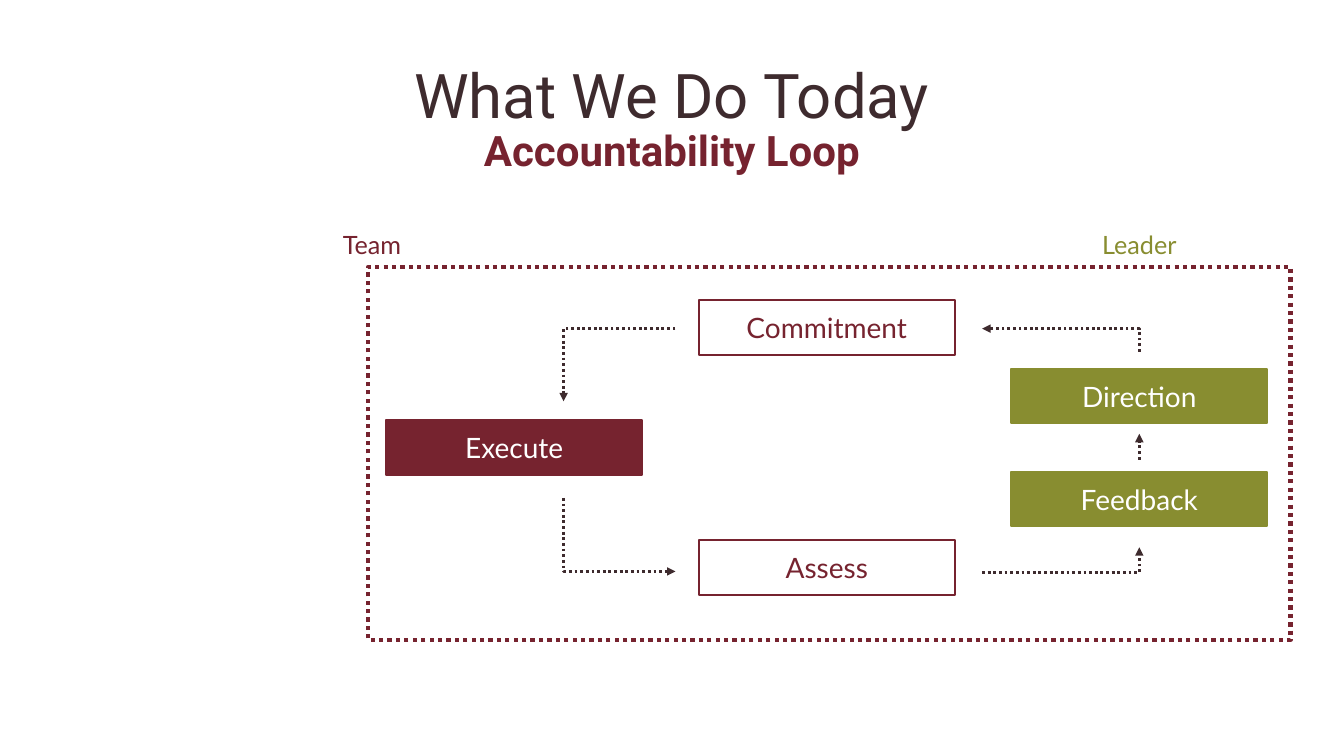
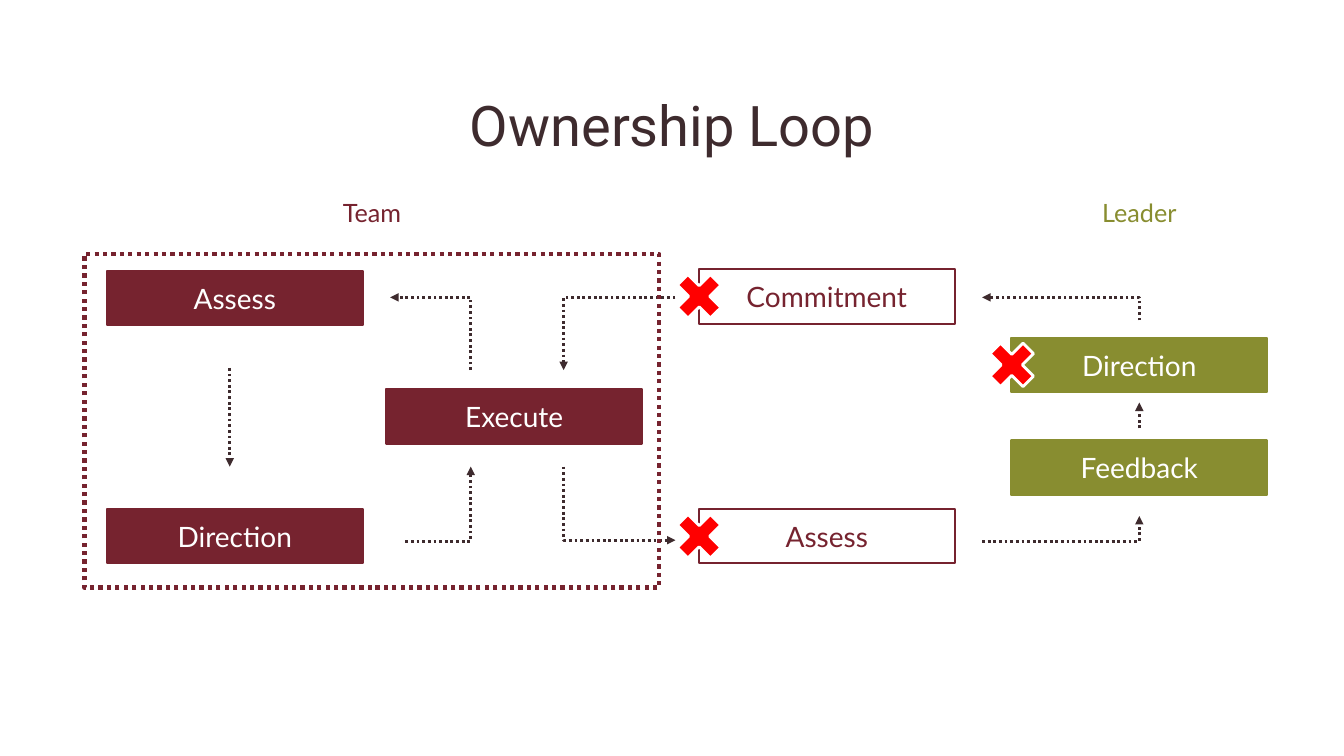
from typing import NamedTuple

from lxml.etree import SubElement
from pptx import Presentation
from pptx.dml.color import RGBColor
from pptx.enum.dml import MSO_LINE
from pptx.enum.shapes import MSO_CONNECTOR, MSO_SHAPE
from pptx.enum.text import MSO_ANCHOR, PP_ALIGN
from pptx.oxml.ns import qn
from pptx.util import Inches, Pt

HEX = {"wine": "76232F", "olive": "888D30", "dark": "3E2B2E",
       "white": "FFFFFF", "red": "FF0000"}
WIDE, HIGH = 13.33, 7.5

# Grid: columns count from the middle boxes, rows from the centre of the loop
COL, ROW, MID = 0.31, 0.17, 8.2
BOX = (8.19, 3.18)
EDGE = 7


class Cell(NamedTuple):
    """A centre and a size, in columns and rows."""
    col: float
    row: float
    wide: float
    high: float


class Box(NamedTuple):
    text: str
    col: float
    row: float
    fill: str | None
    ink: str = "white"


class Head(NamedTuple):
    """A heading line; its centre is a percentage of the slide height."""
    text: str
    at: float
    size: int
    hue: str = "dark"
    bold: bool = False


class Page(NamedTuple):
    heads: list[Head]
    mid: float
    frame: Cell
    boxes: list[Box]
    lines: list[list[tuple[float, float]]]
    marks: list[tuple[float, float]]


LABELS = [("Team", "wine", Cell(-14.55, -11.88, 18.39, 2.35)),
          ("Leader", "olive", Cell(10, -11.88, BOX[0], 2.35))]

# Parts of the loop on both slides
LOOP = [Box("Commitment", 0, -EDGE, None, "wine"),
        Box("Assess", 0, EDGE, None, "wine"),
        Box("Execute", -10, 0, "wine"),
        Box("Direction", 10, -3, "olive"),
        Box("Feedback", 10, 3, "olive")]
FLOW = [[(4.97, 7.3), (10, 7.3), (10, 5.82)],
        [(10, -5.6), (10, -6.94), (4.97, -6.94)],
        [(10, 0.7), (10, -0.8)],
        [(-4.84, -6.94), (-8.42, -6.94), (-8.42, -2.7)],
        [(-8.42, 2.94), (-8.42, 7.23), (-4.84, 7.23)]]

# Parts of the team's own loop
OWN = [Box("Assess", -18.94, -6.9, "wine"),
       Box("Direction", -18.94, EDGE, "wine")]
TURN = [[(-11.39, -2.7), (-11.39, -6.94), (-13.97, -6.94)],
        [(-19.1, -2.82), (-19.1, 2.94)],
        [(-13.48, 7.3), (-11.39, 7.3), (-11.39, 2.94)]]

PAGES = [
    Page([Head("Accountability Loop", 20.27, 30, "wine", True),
          Head("What We Do Today", 13, 44)],
         4.44, Cell(0.08, 0.35, 29.52, 21.76), LOOP, FLOW, []),
    Page([Head("Ownership Loop", 16.93, 40)],
         4.13, Cell(-14.55, 0.26, 18.39, 19.47), LOOP + OWN, FLOW + TURN,
         [(-4.08, -EDGE), (-4.08, EDGE), (5.92, -3)]),
]


def tint(name: str) -> RGBColor:
    return RGBColor.from_string(HEX[name])


def spot(col: float, row: float, mid: float) -> tuple[int, int]:
    return Inches(MID + col * COL), Inches(mid + row * ROW)


def place(cell: Cell, mid: float) -> tuple[int, int, int, int]:
    x, y = spot(cell.col, cell.row, mid)
    wide, high = Inches(cell.wide * COL), Inches(cell.high * ROW)
    return x - wide // 2, y - high // 2, wide, high


def write(shape, text: str, size: int, hue: str, face: str = "Lato",
          bold: bool = False, space: float = 1.0) -> None:
    frame = shape.text_frame
    frame.word_wrap = True
    frame.vertical_anchor = MSO_ANCHOR.MIDDLE
    para = frame.paragraphs[0]
    para.alignment = PP_ALIGN.CENTER
    para.line_spacing = space
    run = para.add_run()
    run.text = text
    run.font.name, run.font.size, run.font.bold = face, Pt(size), bold
    run.font.color.rgb = tint(hue)


def stroke(shape, hue: str, width: float, dots: bool = False) -> None:
    shape.line.color.rgb = tint(hue)
    shape.line.width = Pt(width)
    if dots:
        shape.line.dash_style = MSO_LINE.ROUND_DOT


def draw(slide, kind: MSO_SHAPE, area: tuple[int, int, int, int],
         fill: str | None, hue: str, width: float, dots: bool = False):
    shape = slide.shapes.add_shape(kind, *area)
    shape.shadow.inherit = False
    if fill:
        shape.fill.solid()
        shape.fill.fore_color.rgb = tint(fill)
    else:
        shape.fill.background()
    stroke(shape, hue, width, dots)
    return shape


def arrow(slide, stops: list[tuple[float, float]], mid: float) -> None:
    first, *rest = [spot(col, row, mid) for col, row in stops]
    if len(rest) == 1:
        line = slide.shapes.add_connector(MSO_CONNECTOR.STRAIGHT, *first, *rest[0])
    else:
        pen = slide.shapes.build_freeform(*first)
        pen.add_line_segments(rest, close=False)
        line = pen.convert_to_shape()
        line.fill.background()
    stroke(line, "dark", 2, True)
    props = line.element.spPr
    SubElement(props.find(qn("a:ln")), qn("a:tailEnd"), type="triangle")
    SubElement(props, qn("a:effectLst"))


def title(slide, head: Head) -> None:
    wide, high = WIDE * 0.9, HIGH * 0.16
    box = slide.shapes.add_textbox(
        Inches((WIDE - wide) / 2), Inches(HIGH * head.at / 100 - high / 2),
        Inches(wide), Inches(high))
    write(box, head.text, head.size, head.hue, "Roboto", head.bold, 0.9)


def build(slide, page: Page) -> None:
    for head in page.heads:
        title(slide, head)
    # Labels and boxes
    for text, hue, cell in LABELS:
        write(slide.shapes.add_textbox(*place(cell, page.mid)), text, 18, hue)
    for box in page.boxes:
        area = place(Cell(box.col, box.row, *BOX), page.mid)
        shape = draw(slide, MSO_SHAPE.RECTANGLE, area, box.fill,
                     box.fill or box.ink, 1.5)
        write(shape, box.text, 20, box.ink)
    # Arrows, frame and crosses
    for stops in page.lines:
        arrow(slide, stops, page.mid)
    draw(slide, MSO_SHAPE.RECTANGLE, place(page.frame, page.mid),
         None, "wine", 3, True)
    for col, row in page.marks:
        draw(slide, MSO_SHAPE.MATH_MULTIPLY,
             place(Cell(col, row, 2.03, 3.71), page.mid), "red", "white", 2)


def main() -> None:
    deck = Presentation()
    deck.slide_width, deck.slide_height = Inches(WIDE), Inches(HIGH)
    for page in PAGES:
        build(deck.slides.add_slide(deck.slide_layouts[6]), page)
    deck.save("out.pptx")


if __name__ == "__main__":
    main()
